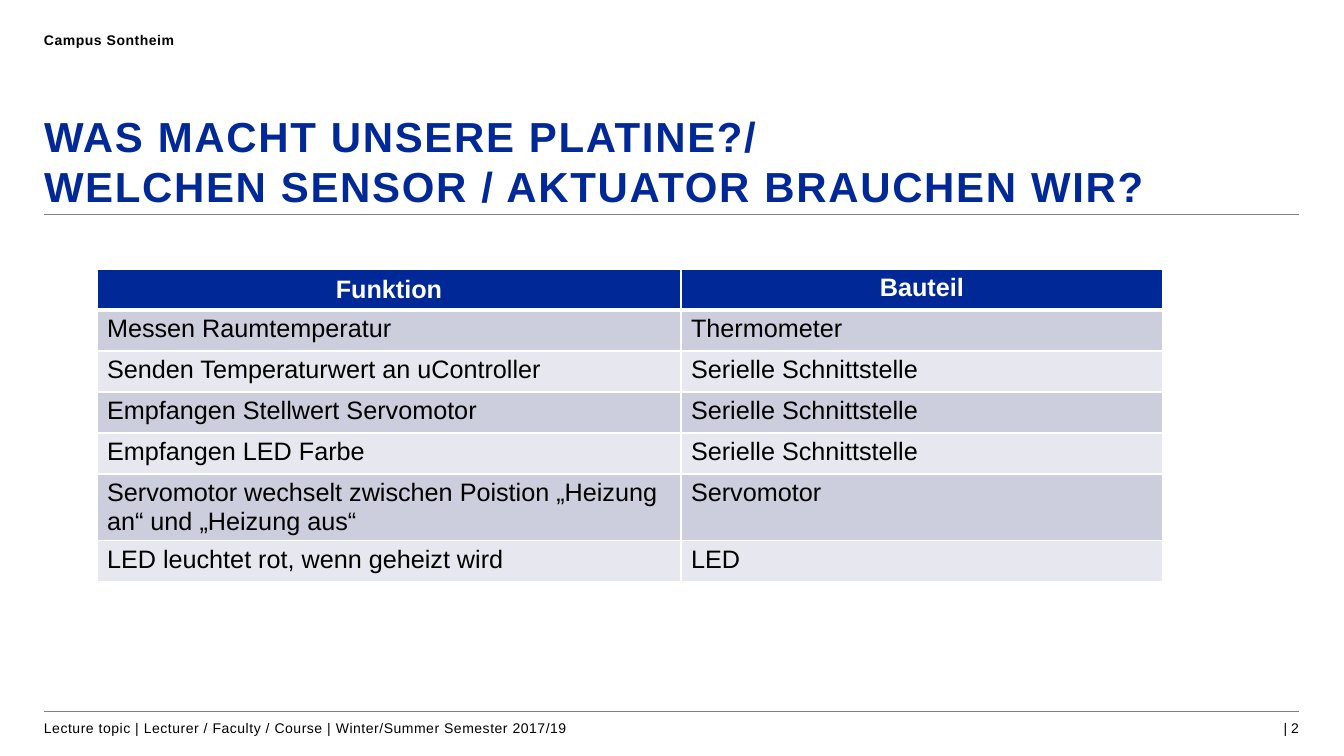
"""Build a lecture slide with a table of board functions and their parts."""
import dataclasses

import lxml.etree
import pptx
import pptx.dml.color
import pptx.enum.shapes
import pptx.enum.text
import pptx.oxml.ns
import pptx.util

ALIGN = pptx.enum.text.PP_ALIGN
ANCHOR = pptx.enum.text.MSO_ANCHOR
SCALE = 914400 / 100.8
WIDE, HIGH = 1344, 756
LEFT, RIGHT = 44, 1299

ROWS = [
    ("Funktion", "Bauteil"),
    ("Messen Raumtemperatur", "Thermometer"),
    ("Senden Temperaturwert an uController", "Serielle Schnittstelle"),
    ("Empfangen Stellwert Servomotor", "Serielle Schnittstelle"),
    ("Empfangen LED Farbe", "Serielle Schnittstelle"),
    ("Servomotor wechselt zwischen Poistion „Heizung an“ und „Heizung aus“", "Servomotor"),
    ("LED leuchtet rot, wenn geheizt wird", "LED"),
]


@dataclasses.dataclass(frozen=True)
class Theme:
    """Colours, font and type sizes of the slide."""
    font: str = "Arial"
    blue: str = "002896"
    black: str = "000000"
    white: str = "FFFFFF"
    gray: str = "808080"
    bands: tuple = ("E7E8EF", "CCCDDD")
    title: int = 30
    body: int = 18
    small: int = 10


def px(num):
    """Turn pixels into EMU."""
    return pptx.util.Emu(round(num * SCALE))


def rgb(code):
    """Turn a hex code into a colour."""
    return pptx.dml.color.RGBColor.from_string(code)


class Page:
    """Draw elements on one slide in one style."""

    def __init__(self, deck, theme):
        """Add a title-only slide to the deck."""
        self.theme = theme
        self.slide = deck.slides.add_slide(deck.slide_layouts[5])

    def style(self, frame, size, color, bold=False, align=ALIGN.LEFT, space=0):
        """Format all runs of a text frame."""
        for para in frame.paragraphs:
            para.alignment = align
            for run in para.runs:
                run.font.name = self.theme.font
                run.font.size = pptx.util.Pt(size)
                run.font.bold = bold
                run.font.color.rgb = rgb(color)
                if space:
                    run.font._element.set("spc", str(space))

    def frame(self, shape, text):
        """Fill a shape with text that wraps and has no margins."""
        frame = shape.text_frame
        frame.text = text
        frame.word_wrap = True
        frame.auto_size = pptx.enum.text.MSO_AUTO_SIZE.NONE
        frame.margin_left = frame.margin_right = 0
        frame.margin_top = frame.margin_bottom = 0
        return frame

    def title(self, text, x, y, w, h):
        """Place and format the title."""
        shape = self.slide.shapes.title
        shape.left, shape.top, shape.width, shape.height = map(px, (x, y, w, h))
        frame = self.frame(shape, text)
        frame.vertical_anchor = ANCHOR.BOTTOM
        frame.paragraphs[0].line_spacing = 0.98
        self.style(frame, self.theme.title, self.theme.blue, True, space=120)

    def label(self, text, x, y, w, h, **look):
        """Add a small line of text."""
        shape = self.slide.shapes.add_textbox(*map(px, (x, y, w, h)))
        frame = self.frame(shape, text)
        self.style(frame, self.theme.small, self.theme.black, **look)

    def rule(self, y):
        """Add a thin line across the page."""
        line = self.slide.shapes.add_connector(
            pptx.enum.shapes.MSO_CONNECTOR.STRAIGHT,
            px(LEFT), px(y), px(RIGHT), px(y))
        line.line.color.rgb = rgb(self.theme.gray)
        line.line.width = pptx.util.Pt(0.5)
        lxml.etree.SubElement(line._element.spPr, pptx.oxml.ns.qn("a:effectLst"))

    def border(self, cell, **widths):
        """Give a cell white borders, with widths in points."""
        props = cell._tc.get_or_add_tcPr()
        for spot, side in enumerate("LRTB"):
            line = lxml.etree.Element(pptx.oxml.ns.qn(f"a:ln{side}"))
            line.set("w", str(pptx.util.Pt(widths.get(side, 1))))
            fill = lxml.etree.SubElement(line, pptx.oxml.ns.qn("a:solidFill"))
            tint = lxml.etree.SubElement(fill, pptx.oxml.ns.qn("a:srgbClr"))
            tint.set("val", self.theme.white)
            props.insert(spot, line)

    def table(self, rows, x, y, cols, tall):
        """Add a table with a header row and banded body rows."""
        theme = self.theme
        table = self.slide.shapes.add_table(
            len(rows), len(cols), px(x), px(y), px(sum(cols)), px(sum(tall))).table
        table.horz_banding = False
        for col, width in zip(table.columns, cols):
            col.width = px(width)
        for r, texts in enumerate(rows):
            head = r == 0
            table.rows[r].height = px(tall[r])
            for c, text in enumerate(texts):
                cell = table.cell(r, c)
                cell.text_frame.text = text
                cell.vertical_anchor = ANCHOR.MIDDLE if head and c == 0 else ANCHOR.TOP
                cell.fill.solid()
                cell.fill.fore_color.rgb = rgb(theme.blue if head else theme.bands[r % 2])
                self.style(cell.text_frame, theme.body,
                           theme.white if head else theme.black, head,
                           ALIGN.CENTER if head else ALIGN.LEFT)
                self.border(cell, B=3 if head else 1, T=3 if r == 1 else 1)


def main():
    """Build and save the slide."""
    deck = pptx.Presentation()
    deck.slide_width, deck.slide_height = px(WIDE), px(HIGH)
    page = Page(deck, Theme())
    page.rule(711)
    page.rule(214)
    page.label("Campus Sontheim", LEFT, 31, 813, 24, bold=True, space=40)
    page.label("Lecture topic | Lecturer / Faculty / Course | Winter/Summer Semester 2017/19",
               LEFT, 719, 813, 24, space=40)
    page.label("| 2", 1089, 719, 210, 24, align=ALIGN.RIGHT)
    page.title("WAS MACHT UNSERE PLATINE?/\vWELCHEN SENSOR / AKTUATOR BRAUCHEN WIR?",
               LEFT, 117, 1255, 95)
    page.table(ROWS, 97, 269, (584, 482), [41] * 5 + [66, 41])
    deck.save("out.pptx")


if __name__ == "__main__":
    main()
